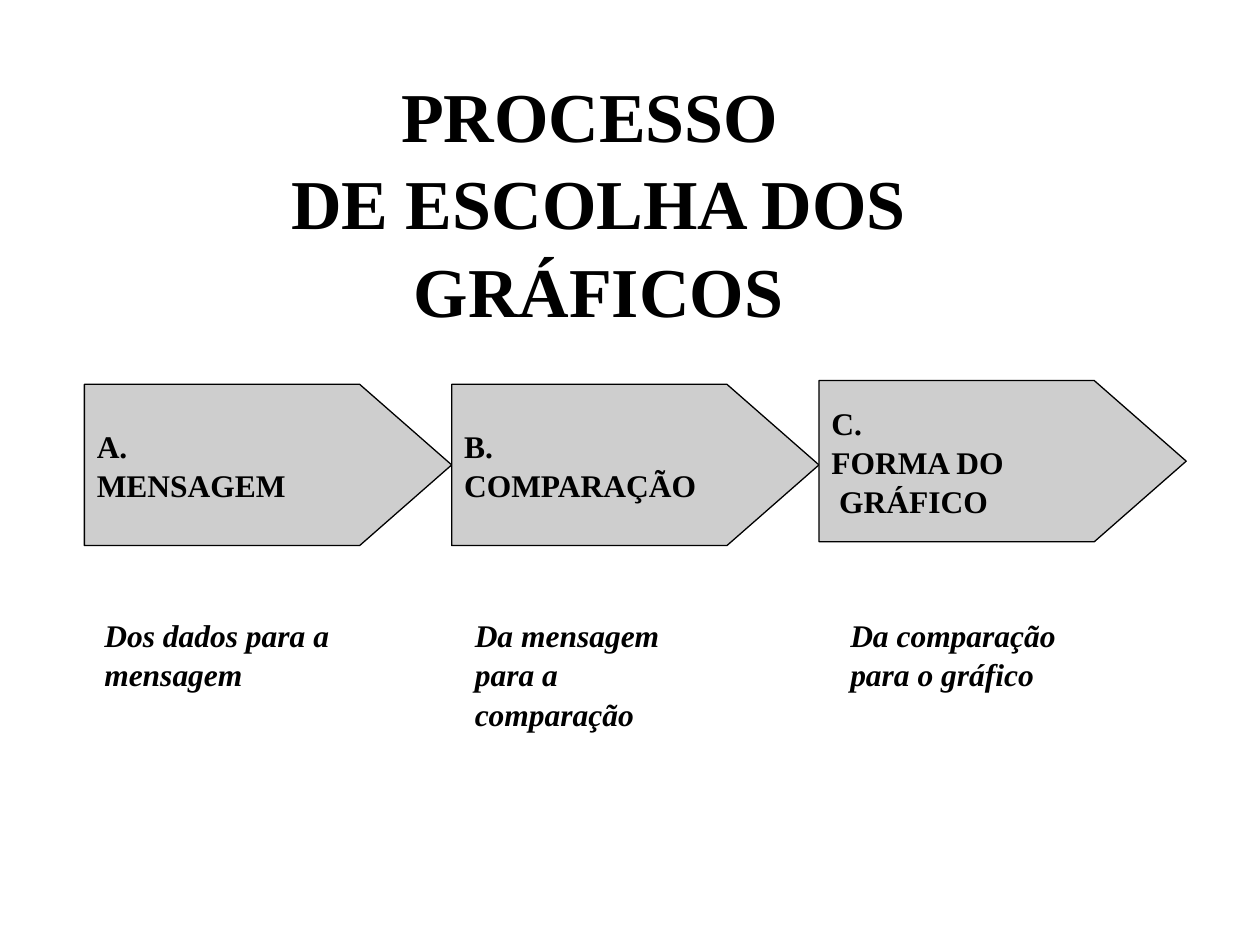
from dataclasses import dataclass

import pptx
import pptx.dml.color
import pptx.enum.shapes
import pptx.enum.text
import pptx.util

Inches = pptx.util.Inches
ALIGN = pptx.enum.text.PP_ALIGN
ANCHOR = pptx.enum.text.MSO_ANCHOR

FONT = "Times New Roman"
BLACK = "000000"
GREY = "CECECE"
ARROW_LEFT, ARROW_W, ARROW_H, ARROW_TIP = 0.67, 2.915, 1.28, 0.73
NOTE_TOP, NOTE_W = 4.83, 2.1


@dataclass
class Step:
    label: str
    top: float
    note: str
    note_left: float
    note_height: float


STEPS = [
    Step("A.\nMENSAGEM", 3.05, "Dos dados para a mensagem", 0.73, 0.7),
    Step("B.\nCOMPARAÇÃO", 3.05, "Da mensagem para a comparação", 3.67, 1.0),
    Step("C.\nFORMA DO\n GRÁFICO", 3.02, "Da comparação para o gráfico", 6.65, 0.7),
]


def rgb(color: str) -> pptx.dml.color.RGBColor:
    return pptx.dml.color.RGBColor.from_string(color)


def write(sp, text: str, size: int, align=ALIGN.LEFT, anchor=ANCHOR.TOP,
          italic: bool = False) -> None:
    """Put bold text in a shape, one paragraph per line."""
    tf = sp.text_frame
    tf.text = text
    tf.word_wrap = True
    tf.auto_size = pptx.enum.text.MSO_AUTO_SIZE.NONE
    tf.vertical_anchor = anchor
    tf.margin_left = tf.margin_right = Inches(0.1)
    tf.margin_top = tf.margin_bottom = Inches(0.05)
    for p in tf.paragraphs:
        p.alignment = align
        p.line_spacing = 1.04
        p.space_before = p.space_after = pptx.util.Pt(0)
        for r in p.runs:
            r.font.name = FONT
            r.font.size = pptx.util.Pt(size)
            r.font.bold = True
            r.font.italic = italic
            r.font.color.rgb = rgb(BLACK)


def add_title(s, text: str) -> None:
    sp = s.shapes.title
    sp.left, sp.top = Inches(1), Inches(0.5)
    sp.width, sp.height = Inches(7.5), Inches(2.1)
    write(sp, text, 40, align=ALIGN.CENTER)


def add_arrow(s, left: float, step: Step) -> None:
    sp = s.shapes.add_shape(
        pptx.enum.shapes.MSO_SHAPE.PENTAGON,
        Inches(left), Inches(step.top), Inches(ARROW_W), Inches(ARROW_H))
    sp.adjustments[0] = ARROW_TIP / ARROW_H
    sp.shadow.inherit = False
    sp.fill.solid()
    sp.fill.fore_color.rgb = rgb(GREY)
    sp.line.color.rgb = rgb(BLACK)
    sp.line.width = pptx.util.Pt(0.75)
    write(sp, step.label, 18, anchor=ANCHOR.MIDDLE)


def add_note(s, step: Step) -> None:
    sp = s.shapes.add_textbox(Inches(step.note_left), Inches(NOTE_TOP),
                              Inches(NOTE_W), Inches(step.note_height))
    write(sp, step.note, 18, italic=True)


def main() -> None:
    prs = pptx.Presentation()
    prs.slide_width, prs.slide_height = Inches(10), Inches(7.5)
    s = prs.slides.add_slide(prs.slide_layouts.get_by_name("Title Only"))
    add_title(s, "PROCESSO \nDE ESCOLHA DOS GRÁFICOS")
    for i, step in enumerate(STEPS):
        add_arrow(s, ARROW_LEFT + i * ARROW_W, step)
        add_note(s, step)
    prs.save("out.pptx")


if __name__ == "__main__":
    main()
